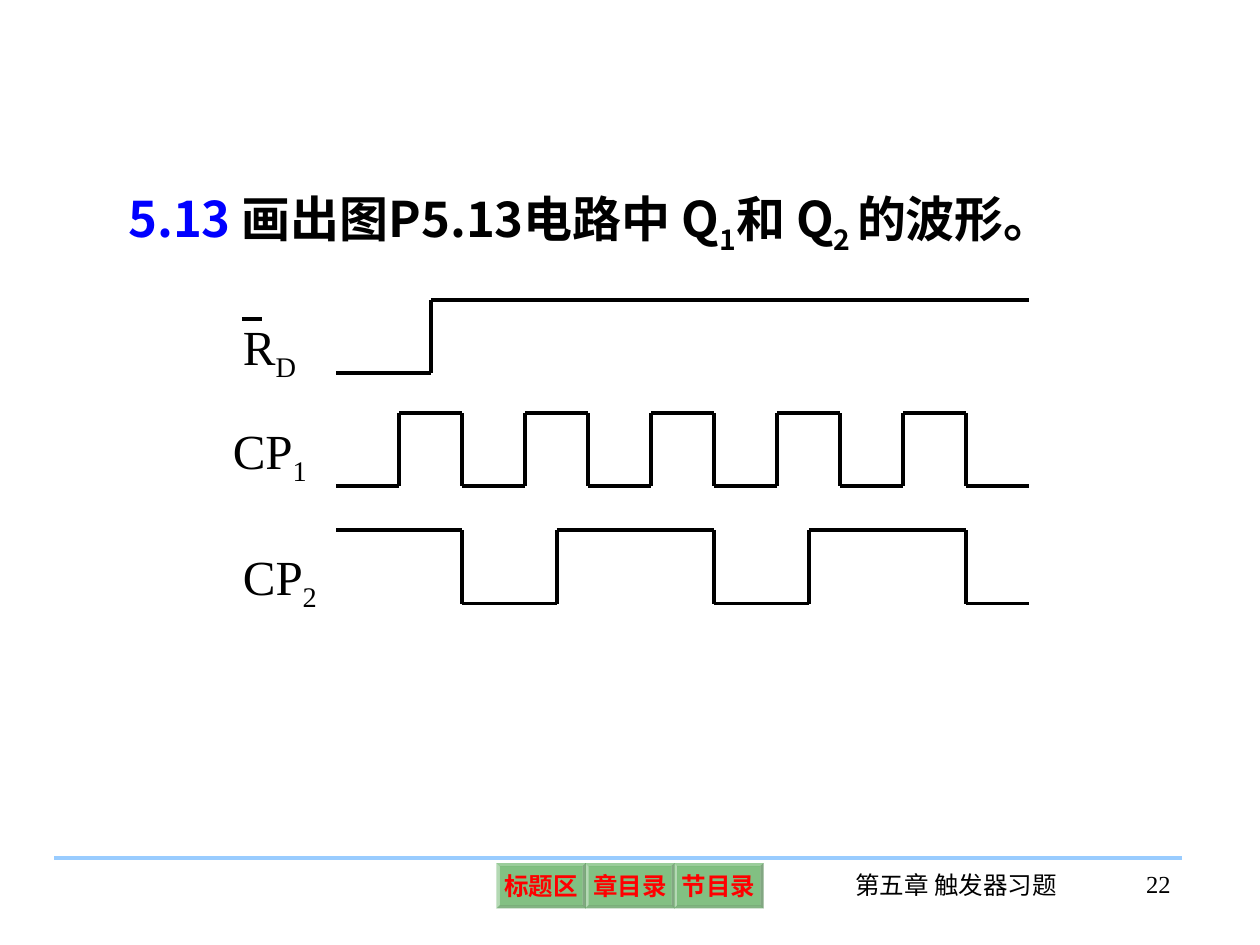
from dataclasses import dataclass

import pptx
import pptx.dml.color
import pptx.enum.shapes
import pptx.enum.text
import pptx.oxml.ns
import pptx.util
from lxml import etree
from pptx.util import Inches

ALIGN = pptx.enum.text.PP_ALIGN
ANCHOR = pptx.enum.text.MSO_ANCHOR
SERIF = "Times New Roman"
SANS = "Noto Sans CJK SC"
BLACK, BLUE, RED, SKY, GREEN = "000000", "0000FF", "FF0000", "99CCFF", "008000"

WAVE_LEFT, WAVE_RIGHT, WAVE_HEIGHT = 2.67, 8.17, 0.58


@dataclass
class Part:
    text: str
    color: str = BLACK
    subscript: bool = False


@dataclass
class Signal:
    name: str
    index: str
    label_at: tuple[float, float, float, float]
    label_spacing: float
    top: float
    starts_high: bool
    edges: list[float]


def rgb(color: str) -> pptx.dml.color.RGBColor:
    return pptx.dml.color.RGBColor.from_string(color)


def write(paragraph, parts: list[Part], size: float, font: str = SERIF, bold: bool = False) -> None:
    for part in parts:
        run = paragraph.add_run()
        run.text = part.text
        run.font.size = pptx.util.Pt(size)
        run.font.bold = bold
        run.font.color.rgb = rgb(part.color)
        run.font.name = font
        properties = run._r.get_or_add_rPr()
        east_asian = etree.SubElement(properties, pptx.oxml.ns.qn("a:ea"))
        east_asian.set("typeface", SANS)
        if part.subscript:
            properties.set("baseline", "-25000")


def add_text(slide, at: tuple[float, float, float, float], parts: list[Part], size: float,
             font: str = SERIF, bold: bool = False, align=ALIGN.LEFT, spacing: float = 1.0):
    frame = slide.shapes.add_textbox(*map(Inches, at)).text_frame
    frame.word_wrap = True
    paragraph = frame.paragraphs[0]
    paragraph.alignment = align
    paragraph.line_spacing = spacing
    write(paragraph, parts, size, font, bold)
    return paragraph


def add_line(slide, x1: float, y1: float, x2: float, y2: float, color: str = BLACK) -> None:
    line = slide.shapes.add_connector(
        pptx.enum.shapes.MSO_CONNECTOR.STRAIGHT, *map(Inches, (x1, y1, x2, y2)))
    line.line.color.rgb = rgb(color)
    line.line.width = pptx.util.Pt(2.25)
    etree.SubElement(line._element.spPr, pptx.oxml.ns.qn("a:effectLst"))


def add_signal(slide, signal: Signal) -> None:
    """Label a signal and draw its level, toggling at every edge."""
    high, low = signal.top, signal.top + WAVE_HEIGHT
    level, other = (high, low) if signal.starts_high else (low, high)
    x = WAVE_LEFT
    for edge in signal.edges:
        add_line(slide, x, level, edge, level)
        add_line(slide, edge, level, edge, other)
        x, level, other = edge, other, level
    add_line(slide, x, level, WAVE_RIGHT, level)
    add_text(slide, signal.label_at, [Part(signal.name), Part(signal.index, subscript=True)],
             28, spacing=signal.label_spacing)


def add_button(slide, left: float, caption: str) -> None:
    button = slide.shapes.add_shape(
        pptx.enum.shapes.MSO_SHAPE.BEVEL, *map(Inches, (left, 6.85, 0.71, 0.36)))
    button.adjustments[0] = 0.07
    button.shadow.inherit = False
    button.line.fill.background()
    button.fill.solid()
    button.fill.fore_color.rgb = rgb(GREEN)
    fill_color = button._element.spPr.find(".//" + pptx.oxml.ns.qn("a:srgbClr"))
    etree.SubElement(fill_color, pptx.oxml.ns.qn("a:alpha")).set("val", "49000")
    frame = button.text_frame
    frame.word_wrap = False
    frame.vertical_anchor = ANCHOR.MIDDLE
    frame.margin_left = frame.margin_right = Inches(0.04)
    frame.margin_top = frame.margin_bottom = Inches(0.04)
    paragraph = frame.paragraphs[0]
    paragraph.alignment = ALIGN.CENTER
    paragraph.space_before = pptx.util.Pt(8.8)
    write(paragraph, [Part(caption, RED)], 14, bold=True)


def main() -> None:
    deck = pptx.Presentation()
    deck.slide_width, deck.slide_height = Inches(10), Inches(7.5)
    slide = deck.slides.add_slide(deck.slide_layouts[6])

    # Footer rule
    add_line(slide, 0.43, 6.81, 9.38, 6.81, SKY)

    # Exercise statement, with a hanging indent
    statement = add_text(slide, (0.92, 1.29, 8.25, 0.79), [
        Part("5.13 ", BLUE), Part("画出图P5.13电路中 Q"), Part("1", subscript=True),
        Part("和 Q"), Part("2 ", subscript=True), Part("的波形。"),
    ], 28, SANS, bold=True, spacing=1.3)
    indent = statement._p.get_or_add_pPr()
    indent.set("marL", str(Inches(0.84)))
    indent.set("indent", str(Inches(-0.84)))

    # Timing diagram
    clock_edges = [3.17 + 0.5 * step for step in range(10)]
    signals = [
        Signal("R", "D", (1.83, 2.46, 0.67, 0.63), 1.0, 2.38, False, [3.42]),
        Signal("CP", "1", (1.75, 3.13, 1, 0.79), 1.3, 3.28, False, clock_edges),
        Signal("CP", "2", (1.83, 4.13, 1, 0.79), 1.3, 4.21, True,
               [3.67, 4.42, 5.67, 6.42, 7.67]),
    ]
    for signal in signals:
        add_signal(slide, signal)
    # Bar over the active-low reset
    add_line(slide, 1.92, 2.53, 2.08, 2.53)

    # Navigation buttons
    for position, caption in enumerate(["标题区", "章目录", "节目录"]):
        add_button(slide, 3.94 + 0.705 * position, caption)

    # Chapter and page number
    add_text(slide, (6.66, 6.86, 1.86, 0.5), [Part("第五章 触发器习题")], 14, align=ALIGN.CENTER)
    add_text(slide, (8.53, 6.85, 0.86, 0.5), [Part("22")], 14, align=ALIGN.RIGHT)

    deck.save("out.pptx")


if __name__ == "__main__":
    main()
